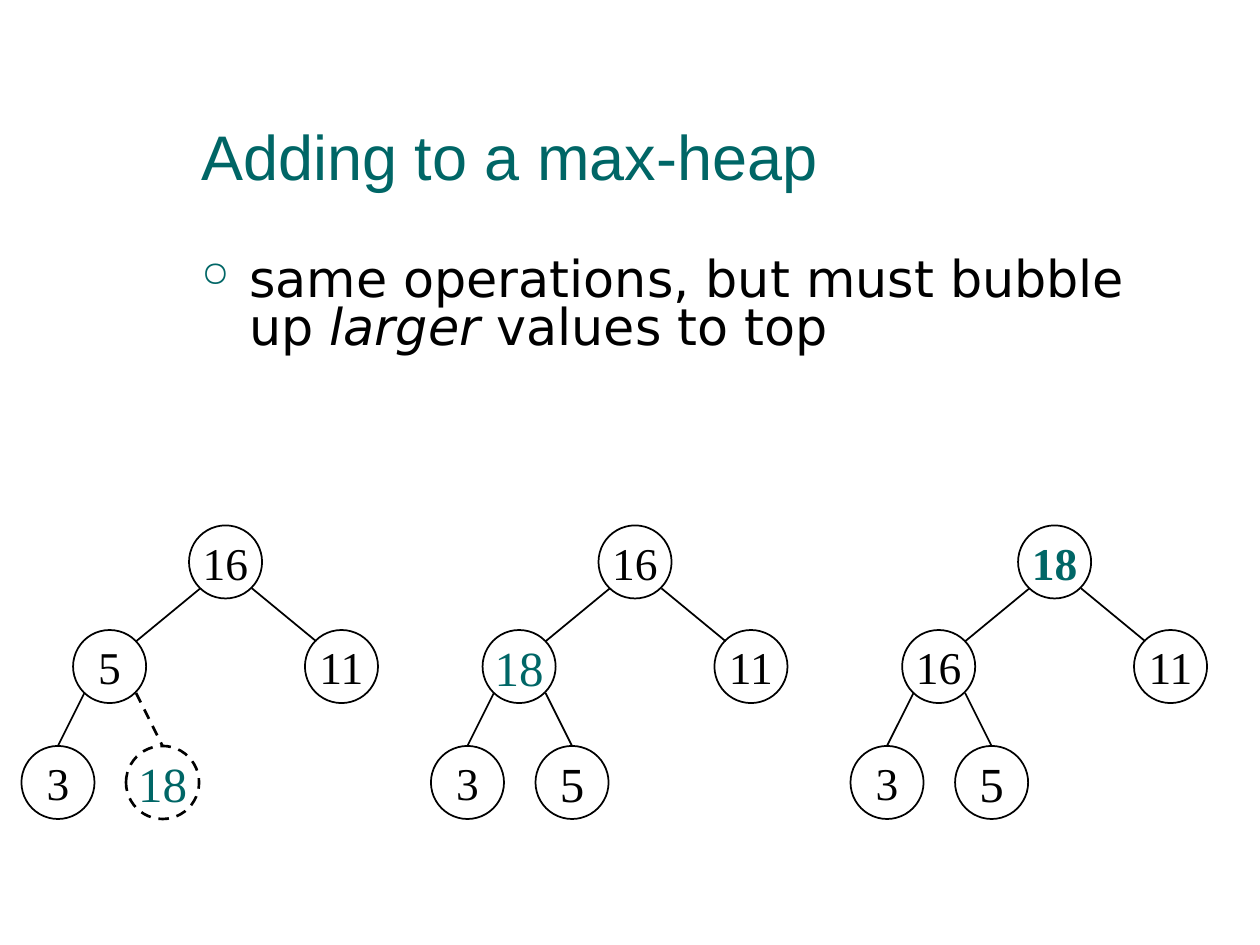
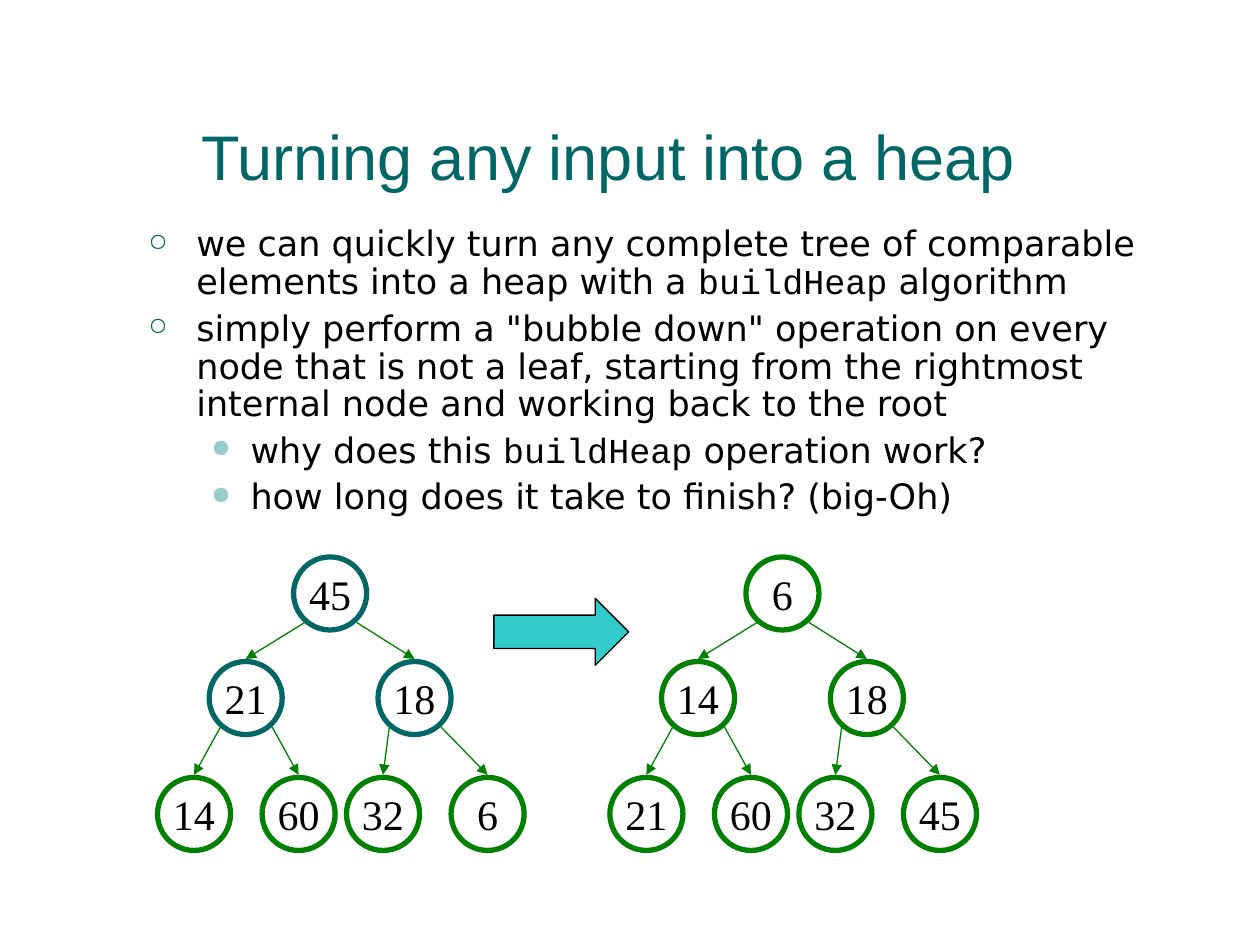
from lxml.etree import SubElement
from pptx import Presentation
from pptx.dml.color import RGBColor
from pptx.enum.dml import MSO_LINE
from pptx.enum.shapes import MSO_CONNECTOR, MSO_SHAPE
from pptx.enum.text import MSO_ANCHOR, PP_ALIGN
from pptx.oxml.ns import qn
from pptx.util import Inches, Pt

COLORS = {
    "black": "000000",
    "teal": "006666",
    "pale": "99CCCC",
    "green": "008000",
    "arrow": "33CCCC",
}
TITLE_FONT, BODY_FONT, CODE_FONT, NODE_FONT = "Arial", "DejaVu Sans", "Courier New", "Times New Roman"

# Bullet level: left margin, hanging indent, character, colour
BULLETS = [(0.38, 0.38, "○", "teal"), (0.81, 0.31, "●", "pale")]

NODE_SIZE = 0.58
NEAR, FAR = 0.09, 0.5  # where an edge leaves or meets a node's outline
LEVEL_TOPS = [0, 0.83, 0.83, 1.75, 1.75, 1.75, 1.75]
WIDE_TREE = [0, -0.92, 0.92, -1.33, -0.5]
FULL_TREE = [0, -0.67, 0.67, -1.08, -0.25, 0.42, 1.25]


def rgb(name):
    return RGBColor.from_string(COLORS[name])


class HeapDeck:
    """Holds the deck, its text style and the current page."""

    def __init__(self):
        self.deck = Presentation()
        self.deck.slide_width, self.deck.slide_height = Inches(10), Inches(7.5)
        self.page = None

    def add_page(self, title):
        self.page = self.deck.slides.add_slide(self.deck.slide_layouts[6])
        frame = self.text_frame(1.5, 0.33, 8, 1.25)
        frame.vertical_anchor = MSO_ANCHOR.BOTTOM
        para = frame.paragraphs[0]
        para.text = title
        self.style_font(para.font, TITLE_FONT, 36, "teal")

    def text_frame(self, left, top, width, height):
        box = self.page.shapes.add_textbox(*map(Inches, (left, top, width, height)))
        box.text_frame.word_wrap = True
        return box.text_frame

    def style_font(self, font, name, size, color):
        font.name, font.size = name, Pt(size)
        font.color.rgb = rgb(color)

    def style_line(self, line, color, width, dashed=False):
        line.color.rgb = rgb(color)
        line.width = Pt(width)
        if dashed:
            line.dash_style = MSO_LINE.DASH

    def bullets(self, place, items, size, spacing, gap):
        """Each item is a level and its spans; a span is (text, kind)."""
        frame = self.text_frame(*place)
        for index, (level, spans) in enumerate(items):
            para = frame.paragraphs[0] if index == 0 else frame.add_paragraph()
            para.level = level
            para.line_spacing = spacing
            para.space_before = Pt(gap if index else 0)
            self.add_bullet(para, *BULLETS[level])
            self.style_font(para.font, BODY_FONT, size, "black")
            for text, kind in spans:
                span = para.add_run()
                span.text = text
                if kind == "code":
                    span.font.name = CODE_FONT
                elif kind == "italic":
                    span.font.italic = True

    def add_bullet(self, para, margin, hanging, character, color):
        properties = para._p.get_or_add_pPr()
        properties.set("marL", str(Inches(margin)))
        properties.set("indent", str(-Inches(hanging)))
        bullet_color = SubElement(properties, qn("a:buClr"))
        SubElement(bullet_color, qn("a:srgbClr"), val=COLORS[color])
        SubElement(properties, qn("a:buSzPct"), val="70000")
        SubElement(properties, qn("a:buChar"), char=character)

    def node(self, left, top, value, size=26, color="black", bold=False,
             line="black", width=1, dashed=False):
        circle = self.page.shapes.add_shape(
            MSO_SHAPE.OVAL, *map(Inches, (left, top, NODE_SIZE, NODE_SIZE)))
        circle.shadow.inherit = False
        circle.fill.background()
        self.style_line(circle.line, line, width, dashed)
        frame = circle.text_frame
        frame.word_wrap = False
        frame.vertical_anchor = MSO_ANCHOR.MIDDLE
        para = frame.paragraphs[0]
        para.text = str(value)
        para.alignment = PP_ALIGN.CENTER
        self.style_font(para.font, NODE_FONT, size, color)
        para.font.bold = bold

    def edge(self, start, end, color, width, dashed=False, arrow=False):
        connector = self.page.shapes.add_connector(
            MSO_CONNECTOR.STRAIGHT, *map(Inches, (*start, *end)))
        self.style_line(connector.line, color, width, dashed)
        properties = connector._element.spPr
        if arrow:
            SubElement(properties.find(qn("a:ln")), qn("a:tailEnd"), type="triangle")
        SubElement(properties, qn("a:effectLst"))

    def tree(self, left, top, offsets, values, base, special, arrows=False):
        """Draws a heap in array order; special maps an index to its node style."""
        spots = [(left + x, top + y) for x, y in zip(offsets, LEVEL_TOPS)]
        for index, (spot, value) in enumerate(zip(spots, values)):
            style = {**base, **special.get(index, {})}
            self.node(*spot, value, **style)
            if index == 0:
                continue
            parent_x, parent_y = spots[(index - 1) // 2]
            child_x, child_y = spot
            is_left = index % 2 == 1
            start_x = parent_x + (NEAR if is_left else FAR)
            middle = child_x + NODE_SIZE / 2
            if arrows:
                self.edge((start_x, parent_y + 0.52), (middle, child_y - 0.02),
                          "green", 0.75, arrow=True)
            elif index < 3:
                end_x = child_x + (FAR if is_left else NEAR)
                self.edge((start_x, parent_y + FAR), (end_x, child_y + NEAR), "black", 1)
            else:
                self.edge((start_x, parent_y + FAR), (middle, child_y), "black",
                          style.get("width", 1), style.get("dashed", False))

    def block_arrow(self, left, top, width, height):
        arrow = self.page.shapes.add_shape(
            MSO_SHAPE.RIGHT_ARROW, *map(Inches, (left, top, width, height)))
        arrow.shadow.inherit = False
        arrow.fill.solid()
        arrow.fill.fore_color.rgb = rgb("arrow")
        self.style_line(arrow.line, "black", 0.75)


def add_max_heap_page(heap):
    heap.add_page("Adding to a max-heap")
    moved = {"size": 28, "color": "teal"}
    swapped = {"size": 28}
    steps = [
        (1.5, [16, 5, 11, 3, 18], {4: {**moved, "width": 1.5, "dashed": True}}),
        (4.75, [16, 18, 11, 3, 5], {1: moved, 4: swapped}),
        (8.08, [18, 16, 11, 3, 5], {0: {"color": "teal", "bold": True}, 4: swapped}),
    ]
    for left, values, special in steps:
        heap.tree(left, 4.17, WIDE_TREE, values, {}, special)
    heap.bullets((1.5, 2, 8, 4.5), [
        (0, [("same operations, but must bubble up ", ""), ("larger ", "italic"),
             ("values to top", "")]),
    ], size=29, spacing=0.8, gap=7.3)


def add_build_heap_page(heap):
    heap.add_page("Turning any input into a heap")
    heap.bullets((1.08, 1.75, 8.58, 4.5), [
        (0, [("we can quickly turn any complete tree of comparable elements "
              "into a heap with a ", ""), ("buildHeap", "code"), (" algorithm", "")]),
        (0, [('simply perform a "bubble down" operation on every node that is not a leaf, '
              "starting from the rightmost internal node and working back to the root", "")]),
        (1, [("why does this ", ""), ("buildHeap", "code"), (" operation work?", "")]),
        (1, [("how long does it take to finish? (big-Oh)", "")]),
    ], size=20, spacing=0.9, gap=5)
    done = {"size": 24, "line": "green", "width": 3}
    internal = {index: {"line": "teal"} for index in range(3)}
    heap.tree(2.33, 4.42, FULL_TREE, [45, 21, 18, 14, 60, 32, 6], done, internal, arrows=True)
    heap.tree(5.92, 4.42, FULL_TREE, [6, 14, 18, 21, 60, 32, 45], done, {}, arrows=True)
    heap.block_arrow(3.92, 4.75, 1.07, 0.53)


def main():
    heap = HeapDeck()
    add_max_heap_page(heap)
    add_build_heap_page(heap)
    heap.deck.save("out.pptx")


if __name__ == "__main__":
    main()
